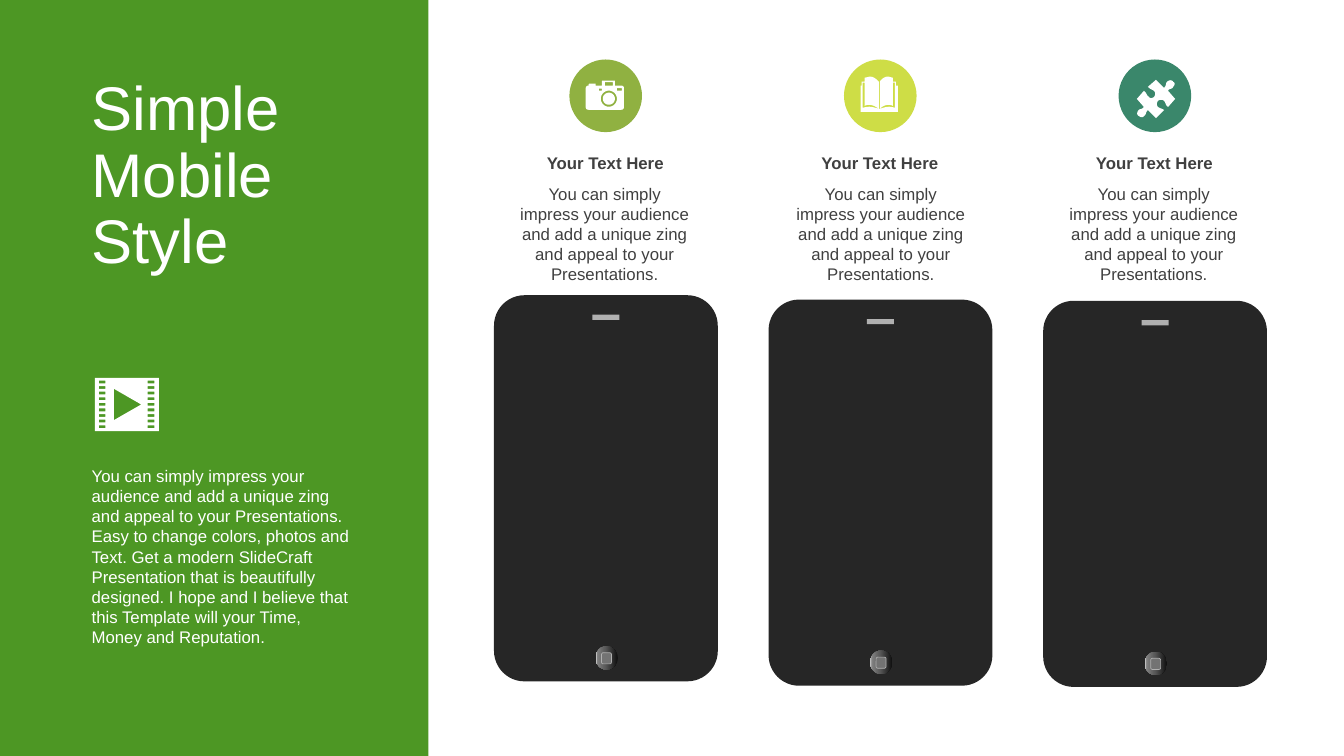
import math
from dataclasses import dataclass
from typing import Any

import lxml.etree
import pptx
import pptx.dml.color
import pptx.enum.shapes
import pptx.enum.text
import pptx.oxml.ns
import pptx.shapes.autoshape
import pptx.shapes.shapetree
import pptx.util

Cm = pptx.util.Cm
RGBColor = pptx.dml.color.RGBColor
Preset = pptx.enum.shapes.MSO_SHAPE
Align = pptx.enum.text.PP_ALIGN
qn = pptx.oxml.ns.qn

# A contour lists line ends (x, y) and Bézier segments (x1, y1, x2, y2, x, y).
Contour = list[tuple[float, ...]]
Box = tuple[float, float, float, float]

WHITE = RGBColor(0xFF, 0xFF, 0xFF)
GREEN = RGBColor(0x4D, 0x97, 0x24)
OLIVE = RGBColor(0x90, 0xB1, 0x41)
LIME = RGBColor(0xCE, 0xDD, 0x46)
TEAL = RGBColor(0x3A, 0x87, 0x6B)
TEXT_GRAY = RGBColor(0x40, 0x40, 0x40)
PHONE_BLACK = RGBColor(0x26, 0x26, 0x26)
SPEAKER_GRAY = RGBColor(0xB0, 0xB0, 0xB0)
BUTTON_GRAY = RGBColor(0x73, 0x73, 0x73)
BUTTON_STOPS = [
    (0, RGBColor(0x0F, 0x0F, 0x0F)),
    (56, RGBColor(0x59, 0x59, 0x59)),
    (91, RGBColor(0x80, 0x80, 0x80)),
    (100, RGBColor(0xBF, 0xBF, 0xBF)),
]

TITLE_FORMAT = {"name": "Arial", "size": pptx.util.Pt(44)}
BODY_FORMAT = {"name": "Arial", "size": pptx.util.Pt(12)}
HEADING_FORMAT = {**BODY_FORMAT, "bold": True}

INTRO = (
    "You can simply impress your audience and add a unique zing and appeal to your "
    "Presentations. Easy to change colors, photos and Text. Get a modern SlideCraft "
    "Presentation that is beautifully designed. I hope and I believe that this "
    "Template will your Time, Money and Reputation."
)
HEADING = "Your Text Here"
CAPTION = (
    "You can simply impress your audience and add a unique zing and appeal to your "
    "Presentations."
)

CURVE_STEPS = 8
ICON_UNIT = 0.0254  # cm per icon grid unit
SUBDIVISIONS = 100  # freeform steps per icon grid unit
FIRST_PHONE_LEFT, PHONE_PITCH = 12.45, 6.92


def rectangle(left: float, top: float, right: float, bottom: float) -> Contour:
    return [(left, top), (right, top), (right, bottom), (left, bottom)]


def circle(center_x: float, center_y: float, radius: float) -> Contour:
    angles = [math.tau * step / 32 for step in range(32)]
    return [(center_x + radius * math.cos(a), center_y + radius * math.sin(a)) for a in angles]


FILM = [
    rectangle(0, 0, 63.5, 53),
    [(19, 11), (19, 42), (46, 26.5)],
    *(
        rectangle(left, 2.75 + 5.55 * row, left + 6.5, 5.5 + 5.55 * row)
        for left in (4, 52.5)
        for row in range(9)
    ),
]
CAMERA = [
    circle(23, 18, 6),
    circle(23, 18, 8),
    rectangle(13, 8, 16, 10),
    rectangle(31, 7.5, 36, 10),
    rectangle(19, 1.5, 27, 5),
    [(17, 0), (28, 0), (29, 0, 29, 0, 29, 1), (29, 5), (35, 5), (37, 5, 38, 6, 38, 8),
     (38, 26), (38, 28, 37, 29, 35, 29), (3, 29), (1, 29, 0, 28, 0, 26), (0, 8),
     (0, 6, 1, 5, 3, 5), (3, 4), (3, 3, 4, 3, 4, 3), (10, 3), (10, 5), (16, 5), (16, 1),
     (16, 0, 17, 0, 17, 0)],
]
BOOK = [
    [(18, 32), (19, 32), (25, 30, 28, 29, 34, 31), (34, 6), (32, 6), (32, 29),
     (28, 27, 23, 28, 19, 32), (19, 5), (21, 2, 24, 0, 27, 0), (29, 0, 30, 1, 32, 1),
     (32, 5), (35, 5), (35, 9), (37, 9), (37, 35), (0, 35), (0, 9), (1, 9), (1, 5), (4, 5),
     (4, 1), (6, 1, 8, 0, 9, 0), (13, 0, 15, 2, 18, 5), (18, 32), (13, 28, 8, 27, 4, 29),
     (4, 6), (2, 6), (2, 31), (9, 29, 12, 30, 18, 32)],
]
PUZZLE = [
    [(36, 2), (38, 3, 38, 5, 36, 7), (35, 10, 32, 8, 31, 11), (38, 19), (31, 27),
     (28, 25, 29, 23, 27, 21), (25, 19, 22, 20, 21, 21), (20, 22, 19, 25, 21, 27),
     (24, 29, 24, 28, 27, 30), (19, 38), (11, 30), (8, 33, 10, 34, 7, 36),
     (6, 38, 3, 37, 2, 36), (0, 35, 0, 33, 1, 31), (3, 28, 5, 30, 7, 27), (0, 19), (7, 11),
     (10, 13, 9, 15, 12, 17), (13, 19, 16, 18, 17, 17), (18, 16, 19, 13, 17, 11),
     (14, 9, 14, 10, 11, 7), (19, 0), (27, 8), (30, 5, 28, 4, 30, 2), (32, 0, 35, 0, 36, 2)],
]


@dataclass(frozen=True)
class Feature:
    color: RGBColor
    icon: list[Contour]
    icon_left: float
    icon_top: float
    caption_left: float
    phone_top: float


FEATURES = [
    Feature(OLIVE, CAMERA, 14.76, 2.03, 12.8, 7.44),
    Feature(LIME, BOOK, 21.69, 1.93, 19.76, 7.55),
    Feature(TEAL, PUZZLE, 28.65, 2.01, 26.64, 7.58),
]


def add_preset(
    shapes: Any, preset: Preset, box: Box, fill: RGBColor | None
) -> pptx.shapes.autoshape.Shape:
    shape = shapes.add_shape(preset, *map(Cm, box))
    shape.shadow.inherit = False
    shape.line.fill.background()
    if fill is not None:
        shape.fill.solid()
        shape.fill.fore_color.rgb = fill
    return shape


def add_text(shapes: Any, box: Box, text: str, font_format: dict[str, Any],
             color: RGBColor, alignment: Align = Align.LEFT, line_spacing: float = 1.0) -> None:
    frame = shapes.add_textbox(*map(Cm, box)).text_frame
    frame.word_wrap = True
    paragraph = frame.paragraphs[0]
    paragraph.alignment = alignment
    paragraph.line_spacing = line_spacing
    run = paragraph.add_run()
    run.text = text
    for name, value in font_format.items():
        setattr(run.font, name, value)
    run.font.color.rgb = color


def flatten(contour: Contour) -> list[tuple[float, float]]:
    """Turn the Bézier segments of a contour into short lines, in freeform steps."""
    points: list[tuple[float, ...]] = []
    for segment in contour:
        if len(segment) == 2:
            points.append(segment)
            continue
        controls = [points[-1], segment[:2], segment[2:4], segment[4:]]
        for step in range(1, CURVE_STEPS + 1):
            t = step / CURVE_STEPS
            weights = [math.comb(3, k) * t**k * (1 - t) ** (3 - k) for k in range(4)]
            points.append(tuple(sum(w * c[axis] for w, c in zip(weights, controls))
                                for axis in (0, 1)))
    return [(x * SUBDIVISIONS, y * SUBDIVISIONS) for x, y in points]


def add_icon(shapes: Any, contours: list[Contour], left: float, top: float) -> None:
    outlines = [flatten(contour) for contour in contours]
    builder = shapes.build_freeform(*outlines[0][0], scale=Cm(1) * ICON_UNIT / SUBDIVISIONS)
    for index, (start, *others) in enumerate(outlines):
        if index:
            builder.move_to(*start)
        builder.add_line_segments(others, close=True)
    icon = builder.convert_to_shape(Cm(left), Cm(top))
    icon.shadow.inherit = False
    icon.fill.solid()
    icon.fill.fore_color.rgb = WHITE
    icon.line.fill.background()


def set_button_gradient(button: pptx.shapes.autoshape.Shape) -> None:
    button.fill.gradient()
    button.fill.gradient_angle = 180
    stop_list = button._element.spPr.find(qn("a:gradFill")).find(qn("a:gsLst"))
    for stop in list(stop_list):
        stop_list.remove(stop)
    for percent, color in BUTTON_STOPS:
        stop = lxml.etree.SubElement(stop_list, qn("a:gs"), pos=str(percent * 1000))
        lxml.etree.SubElement(stop, qn("a:srgbClr"), val=str(color))


def add_phone(shapes: Any, left: float, top: float) -> None:
    parts = shapes.add_group_shape().shapes
    body = add_preset(parts, Preset.ROUNDED_RECTANGLE, (left, top, 5.64, 9.73), PHONE_BLACK)
    body.adjustments[0] = 0.136
    add_preset(parts, Preset.RECTANGLE, (left + 2.48, top + 0.49, 0.68, 0.13), SPEAKER_GRAY)
    button = add_preset(parts, Preset.OVAL, (left + 2.56, top + 8.84, 0.56, 0.6), None)
    set_button_gradient(button)
    mark_box = (left + 2.71, top + 9.01, 0.25, 0.28)
    mark = add_preset(parts, Preset.ROUNDED_RECTANGLE, mark_box, BUTTON_GRAY)
    mark.line.color.rgb = SPEAKER_GRAY
    mark.line.width = pptx.util.Pt(0.5)


def add_feature(shapes: Any, feature: Feature, left: float) -> None:
    add_phone(shapes, left, feature.phone_top)
    captions = shapes.add_group_shape().shapes
    add_text(captions, (feature.caption_left, 4.5, 4.88, 2.82), CAPTION, BODY_FORMAT,
             TEXT_GRAY, Align.CENTER)
    add_text(captions, (left + 0.33, 3.73, 4.95, 0.76), HEADING, HEADING_FORMAT,
             TEXT_GRAY, Align.CENTER)
    add_preset(shapes, Preset.OVAL, (left + 1.9, 1.5, 1.83, 1.83), feature.color)
    add_icon(shapes, feature.icon, feature.icon_left, feature.icon_top)


def main() -> None:
    presentation = pptx.Presentation()
    presentation.slide_width, presentation.slide_height = Cm(33.87), Cm(19.05)
    shapes = presentation.slides.add_slide(presentation.slide_layouts[6]).shapes
    add_preset(shapes, Preset.RECTANGLE, (0, 0, 10.8, 19.05), GREEN)
    add_text(shapes, (2.06, 1.83, 5.97, 5.33), "Simple Mobile Style", TITLE_FORMAT, WHITE,
             line_spacing=0.9)
    add_icon(shapes, FILM, 2.39, 9.52)
    add_text(shapes, (2.06, 11.61, 7.11, 4.88), INTRO, BODY_FORMAT, WHITE)
    for index, feature in enumerate(FEATURES):
        add_feature(shapes, feature, FIRST_PHONE_LEFT + index * PHONE_PITCH)
    presentation.save("out.pptx")


if __name__ == "__main__":
    main()
